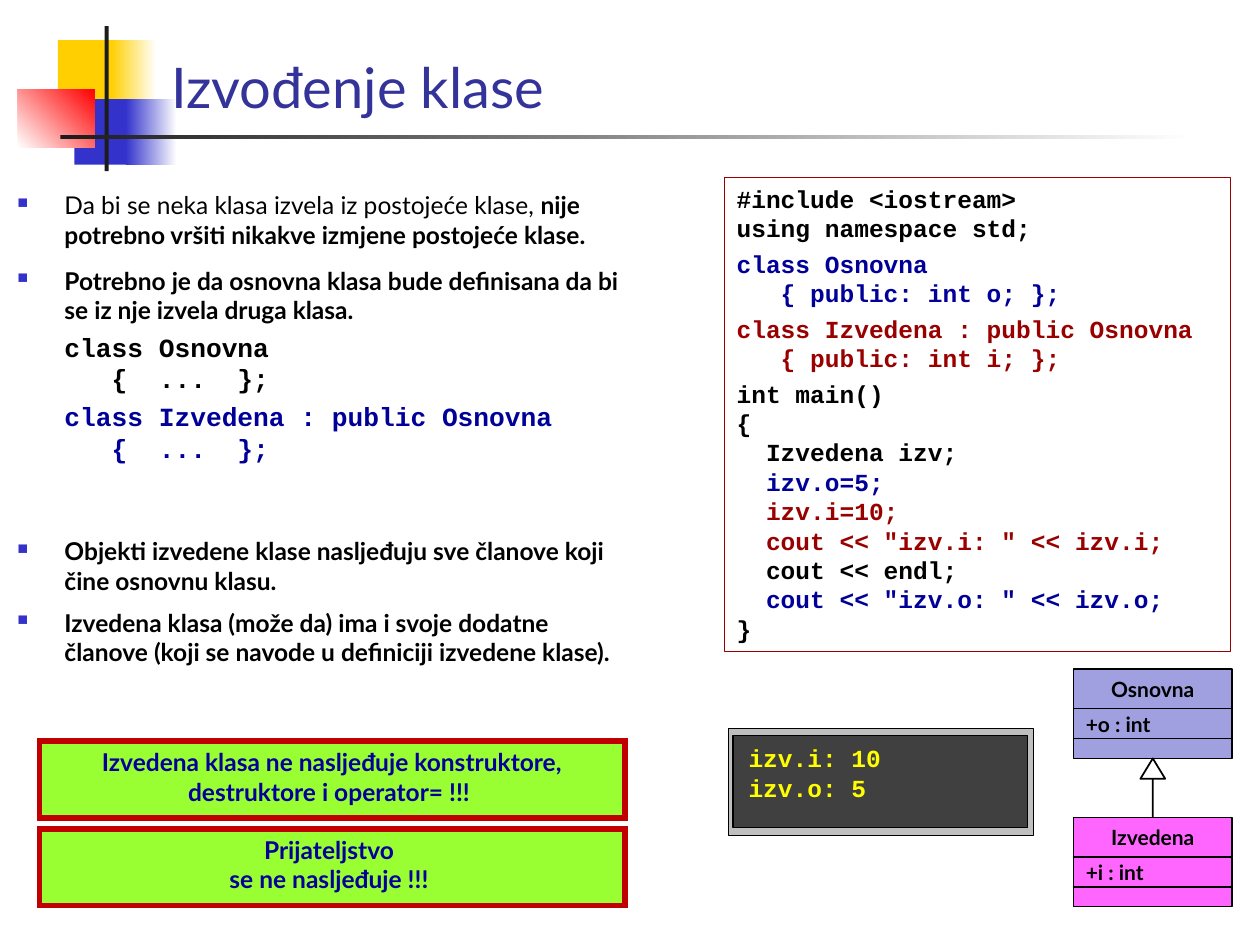
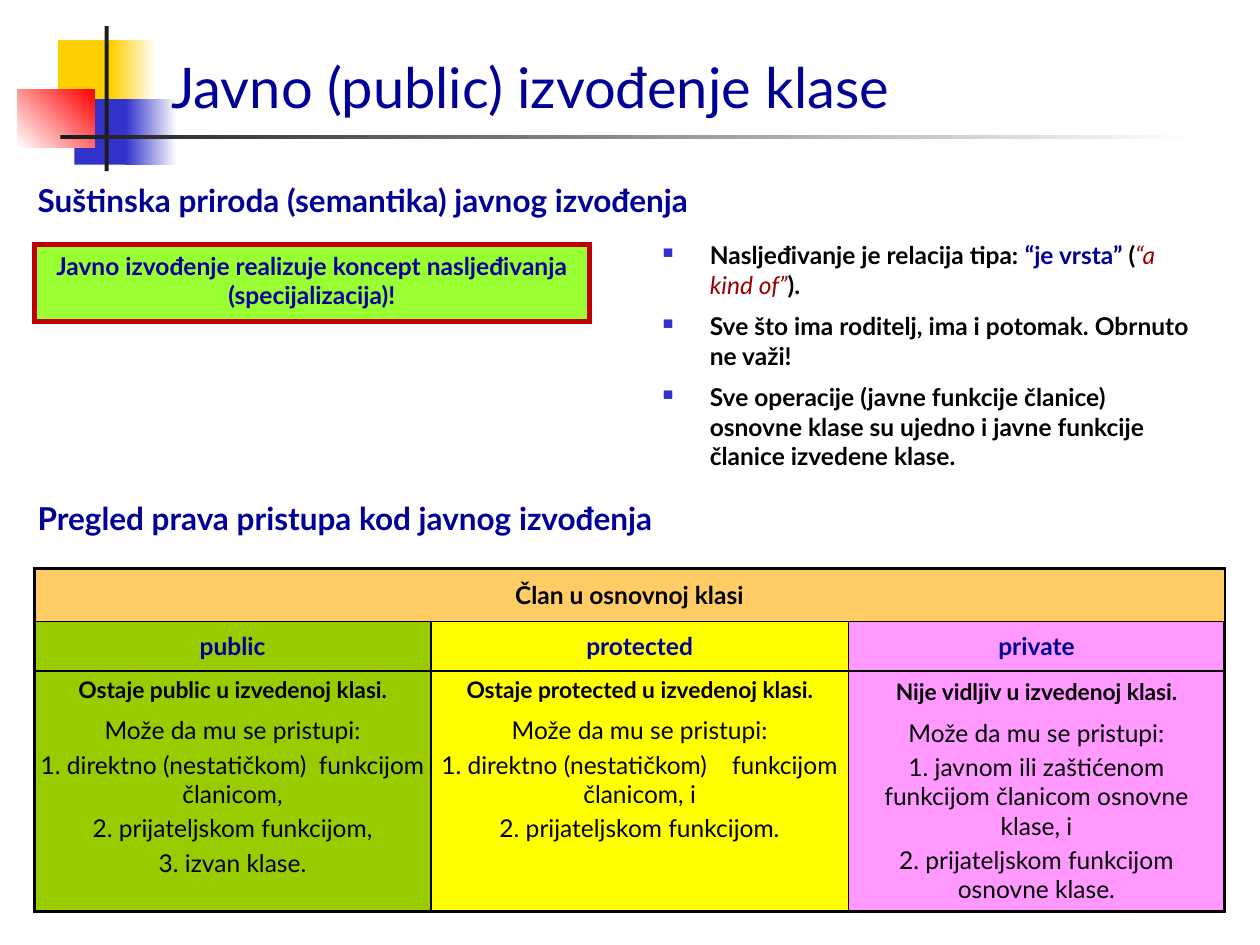
from lxml import etree
from pptx import Presentation
from pptx import util as u
from pptx.dml.color import RGBColor
from pptx.enum import shapes, text
from pptx.oxml.ns import qn

rgb = RGBColor.from_string
BLACK, NAVY, MAROON, BLUE = "000000", "000099", "990000", "3333CC"
GREEN, RED, WHITE, DARK = "99FF33", "C00000", "FFFFFF", "1C1C1C"
SANS, MONO = "Lato", "Courier New"
CENTER, LEFT = text.PP_ALIGN.CENTER, text.PP_ALIGN.LEFT
TOP, MIDDLE = text.MSO_ANCHOR.TOP, text.MSO_ANCHOR.MIDDLE
INDENT = u.Cm(0.95)


def box(slide, at, fill=None, line=None, width=0.75, kind="RECTANGLE"):
    """Add a shape at (left, top, width, height) in cm; a fill pair is a gradient."""
    at = [u.Cm(v) for v in at]
    if not fill and not line:
        sp = slide.shapes.add_textbox(*at)
        sp.text_frame.word_wrap = True
        return sp
    sp = slide.shapes.add_shape(shapes.MSO_SHAPE[kind], *at)
    sp.shadow.inherit = False
    if isinstance(fill, tuple):
        sp.fill.gradient()
        sp.fill.gradient_angle = 0
        for stop, c in zip(sp.fill.gradient_stops, fill):
            stop.color.rgb = rgb(c)
    elif fill:
        sp.fill.solid()
        sp.fill.fore_color.rgb = rgb(fill)
    else:
        sp.fill.background()
    if line:
        sp.line.color.rgb = rgb(line)
        sp.line.width = u.Pt(width)
    else:
        sp.line.fill.background()
    return sp


def write(tf, lines, size=14, color=BLACK, bold=True, font=SANS, align=LEFT, anchor=TOP):
    """Fill a text frame; "|" inside a line starts a new run."""
    tf.text = "\n".join(lines)
    tf.vertical_anchor = anchor
    for p in tf.paragraphs:
        p.alignment = align
        p.text, *rest = p.text.split("|")
        for part in rest:
            p.add_run().text = part
        for r in p.runs:
            r.font.name, r.font.size, r.font.bold = font, u.Pt(size), bold
            r.font.color.rgb = rgb(color)
    return tf.paragraphs


prs = Presentation()
prs.slide_width, prs.slide_height = u.Cm(25.4), u.Cm(19.05)
bullets = []

# Shared header: coloured blocks, crossing lines and title
header = [
    ((1.17, 0.81, 1.22, 1.32), "FFCF01"),
    ((2.24, 0.81, 0.91, 1.32), ("FFCF01", WHITE)),
    ((1.5, 2, 1.17, 1.32), BLUE),
    ((2.54, 2, 1.02, 1.32), (BLUE, WHITE)),
    ((0.36, 1.8, 1.55, 1.17), (WHITE, "FF0000")),
    ((2.11, 0.53, 0.08, 2.92), DARK),
    ((1.22, 2.72, 22.86, 0.08), (DARK, WHITE)),
]
titles = [("Izvođenje klase", "333399"), ("Javno (public) izvođenje klase", NAVY)]
for title, color in titles:
    s = prs.slides.add_slide(prs.slide_layouts[6])
    for at, fill in header:
        sp = box(s, at, fill)
        if fill == (WHITE, "FF0000"):
            sp.fill.gradient_angle = 45
    sp = box(s, (3.2, 0.33, 22.2, 2.21))
    write(sp.text_frame, [title], 32, color, False, anchor=text.MSO_ANCHOR.BOTTOM)
s1, s2 = prs.slides

# Slide 1: rules of derivation
sp = box(s1, (0.1, 3.71, 12.8, 6.81))
ps = write(sp.text_frame, [
    "Da bi se neka klasa izvela iz postojeće klase,| nije potrebno vršiti nikakve izmjene postojeće klase.",
    "Potrebno je da osnovna klasa bude definisana da bi se iz nje izvela druga klasa.",
    "class Osnovna",
    "   {  ...  };",
    "class Izvedena : public Osnovna",
    "   {  ...  };",
])
ps[0].runs[0].font.bold = False
ps[1].space_before = u.Pt(9.5)
bullets += ps[:2]
for i, p in enumerate(ps[2:]):
    p._p.get_or_add_pPr().set("marL", str(INDENT))
    p.space_before = u.Pt(0 if i % 2 else 3.75)
    p.runs[0].font.name, p.runs[0].font.size = MONO, u.Pt(15)
    p.runs[0].font.color.rgb = rgb(BLACK if i < 2 else NAVY)

sp = box(s1, (0.1, 10.69, 13, 3.2))
ps = write(sp.text_frame, [
    "Objekti izvedene klase nasljeđuju sve članove koji čine osnovnu klasu.",
    "Izvedena klasa (može da) ima i svoje dodatne članove (koji se navode u definiciji izvedene klase).",
])
ps[1].space_before = u.Pt(7)
bullets += ps

# Class diagram
compartments = []
for top, fill, name, member in [(13.49, "A0A0E0", "Osnovna", "+o : int"),
                                (16.48, "FF66FF", "Izvedena", "+i : int")]:
    for h, label, align in [(0.8, name, CENTER), (0.6, member, LEFT), (0.4, "", LEFT)]:
        sp = box(s1, (21.64, top, 3.2, h), fill, BLACK)
        if label:
            write(sp.text_frame, [label], 12, align=align, anchor=MIDDLE)
        compartments.append(sp)
        top += h
box(s1, (22.99, 15.29, 0.5, 0.41), None, BLACK, 1, "ISOSCELES_TRIANGLE")
cx = s1.shapes.add_connector(shapes.MSO_CONNECTOR.STRAIGHT,
                             u.Cm(23.24), u.Cm(15.7), u.Cm(23.24), u.Cm(16.48))
cx.end_connect(compartments[3], 0)
cx.line.color.rgb, cx.line.width = rgb(BLACK), u.Pt(1)
etree.SubElement(cx._element.spPr, qn("a:effectLst"))

# Program and its output
code = [
    ("#include <iostream>", BLACK),
    ("using namespace std;", BLACK),
    ("class Osnovna", NAVY),
    ("   { public: int o; };", NAVY),
    ("class Izvedena : public Osnovna", MAROON),
    ("   { public: int i; };", MAROON),
    ("int main()", BLACK),
    ("{", BLACK),
    ("  Izvedena izv;", BLACK),
    ("  izv.o=5;", NAVY),
    ("  izv.i=10;", MAROON),
    ('  cout << "izv.i: " << izv.i;', MAROON),
    ("  cout << endl;", BLACK),
    ('  cout << "izv.o: " << izv.o;', NAVY),
    ("}", BLACK),
]
sp = box(s1, (14.6, 3.58, 10.21, 9.55), None, MAROON)
ps = write(sp.text_frame, [line for line, color in code], font=MONO)
for p, (line, color) in zip(ps, code):
    p.runs[0].font.color.rgb = rgb(color)
    if line.startswith(("class", "int")):
        p.space_before = u.Pt(3.5)

box(s1, (14.68, 14.68, 6.15, 2.16), "BFBFBF", BLACK, 0)
box(s1, (14.78, 14.83, 5.94, 1.85), "404040", BLACK, 0)
sp = box(s1, (15.09, 14.86, 5.56, 1.45))
sp.text_frame.margin_left = sp.text_frame.margin_right = 0
write(sp.text_frame, ["izv.i: 10", "izv.o: 5"], color="FFFF00", font=MONO)

# Green callouts on both slides
for s, at, lines in [
    (s1, (0.79, 14.94, 11.81, 1.55),
     ["Izvedena klasa ne nasljeđuje konstruktore, destruktore i operator= !!! "]),
    (s1, (0.79, 16.71, 11.81, 1.55), ["Prijateljstvo ", "se ne nasljeđuje !!! "]),
    (s2, (0.69, 4.93, 11.2, 1.55),
     ["Javno izvođenje realizuje koncept nasljeđivanja (specijalizacija)!"]),
]:
    sp = box(s, at, GREEN, RED, 3)
    etree.SubElement(sp.line._get_or_add_ln(), qn("a:miter"), lim="800000")
    write(sp.text_frame, lines, color=NAVY, align=CENTER)

# Slide 2: meaning of public derivation
for top, heading in [(3.53, "Suštinska priroda (semantika) javnog izvođenja"),
                     (9.93, "Pregled prava pristupa kod javnog izvođenja")]:
    write(box(s2, (0.51, top, 16.81, 1.4)).text_frame, [heading], 18, NAVY)

sp = box(s2, (13.11, 4.72, 11.4, 5.21))
ps = write(sp.text_frame, [
    "Nasljeđivanje je relacija tipa: |“je vrsta”| (|“a kind of”|).",
    "Sve što ima roditelj, ima i potomak. Obrnuto ne važi!",
    "Sve operacije (javne funkcije članice) osnovne klase su ujedno i javne funkcije članice izvedene klase.",
])
ps[0].runs[1].font.color.rgb = rgb(NAVY)
f = ps[0].runs[3].font
f.color.rgb, f.bold, f.italic = rgb(MAROON), False, True
for p in ps[1:]:
    p.space_before = u.Pt(7)
bullets += ps

for p in bullets:
    pPr = p._p.get_or_add_pPr()
    pPr.set("marL", str(INDENT))
    pPr.set("indent", str(-INDENT))
    clr = etree.SubElement(pPr, qn("a:buClr"))
    etree.SubElement(clr, qn("a:srgbClr"), val=BLUE)
    etree.SubElement(pPr, qn("a:buSzPct"), val="60000")
    etree.SubElement(pPr, qn("a:buChar"), char="■")

# Access rights table
access = "Može da mu se pristupi:"
columns = [
    (8, "99CC00", "public", TOP, [
        "Ostaje public u izvedenoj klasi.", access,
        "1. direktno (nestatičkom)  funkcijom članicom,",
        "2. prijateljskom funkcijom,", "3. izvan klase."]),
    (8.41, "FFFF00", "protected", TOP, [
        "Ostaje protected u izvedenoj klasi.", access,
        "1. direktno (nestatičkom)    funkcijom članicom, i",
        "2. prijateljskom funkcijom."]),
    (7.59, "FF99FF", "private", MIDDLE, [
        "Nije vidljiv u izvedenoj klasi.", access,
        "1. javnom ili zaštićenom funkcijom članicom osnovne klase, i",
        "2. prijateljskom funkcijom osnovne klase."]),
]
heights = [1.07, 1, 4.84]
tbl = s2.shapes.add_table(3, 3, u.Cm(0.69), u.Cm(11.46), u.Cm(24), u.Cm(sum(heights))).table
for row, h in zip(tbl.rows, heights):
    row.height = u.Cm(h)
for j, (w, fill, name, anchor, rights) in enumerate(columns):
    tbl.columns[j].width = u.Cm(w)
    for i in range(3):
        cell = tbl.cell(i, j)
        tcPr = cell._tc.get_or_add_tcPr()
        for side, outer in [("L", j == 0), ("R", j == 2), ("T", i == 0), ("B", i == 2)]:
            ln = etree.SubElement(tcPr, qn(f"a:ln{side}"), w=str(u.Pt(2.25 if outer else 1)))
            etree.SubElement(etree.SubElement(ln, qn("a:solidFill")), qn("a:srgbClr"), val=BLACK)
        cell.fill.solid()
        cell.fill.fore_color.rgb = rgb(fill if i else "FFCC66")
        cell.margin_left = cell.margin_right = cell.margin_top = cell.margin_bottom = u.Cm(0.1)
        cell.vertical_anchor = MIDDLE
    write(tbl.cell(1, j).text_frame, [name], color=NAVY, align=CENTER)
    ps = write(cell.text_frame, rights, bold=False, align=CENTER)
    cell.vertical_anchor = anchor
    ps[0].runs[0].font.bold, ps[0].runs[0].font.size = True, u.Pt(13)
    for p in ps[1:]:
        p.space_before = u.Pt(7 if p.text == access else 2.8)
tbl.cell(0, 0).merge(tbl.cell(0, 2))
write(tbl.cell(0, 0).text_frame, ["Član u osnovnoj klasi"], align=CENTER)

prs.save("out.pptx")
